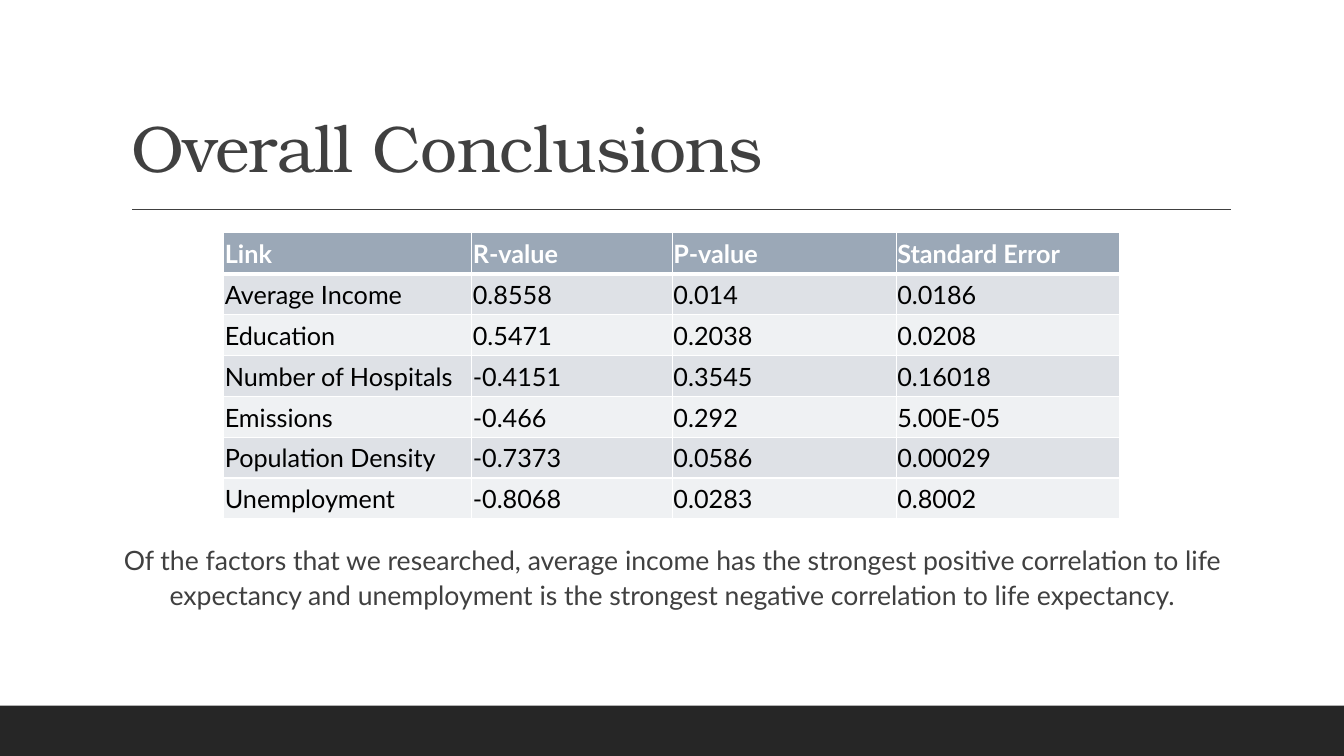
from lxml.etree import SubElement
from pptx import Presentation
from pptx.dml.color import RGBColor
from pptx.enum.shapes import MSO_CONNECTOR, MSO_SHAPE
from pptx.enum.text import MSO_ANCHOR, MSO_AUTO_SIZE, PP_ALIGN
from pptx.oxml import parse_xml
from pptx.oxml.ns import nsdecls, qn
from pptx.util import Inches, Pt

TITLE = "Overall Conclusions"
SUMMARY = (
    "Of the factors that we researched, average income has the strongest positive "
    "correlation to life expectancy and unemployment is the strongest negative "
    "correlation to life expectancy."
)
RESULTS = [
    ("Link", "R-value", "P-value", "Standard Error"),
    ("Average Income", "0.8558", "0.014", "0.0186"),
    ("Education", "0.5471", "0.2038", "0.0208"),
    ("Number of Hospitals", "-0.4151", "0.3545", "0.16018"),
    ("Emissions", "-0.466", "0.292", "5.00E-05"),
    ("Population Density", "-0.7373", "0.0586", "0.00029"),
    ("Unemployment", "-0.8068", "0.0283", "0.8002"),
]
COLUMN_WIDTHS = (2.46, 1.99, 2.22, 2.22)
TABLE_HEIGHT = 2.84
HEADER_FILL, BAND_FILLS = "9BA8B7", ("EFF1F3", "DEE1E6")
DARK, BAR, WHITE, BLACK = "404040", "262626", "FFFFFF", "000000"
HEADING_FONT, BODY_FONT = "TeX Gyre Bonum", "Lato"


def color(value):
    return RGBColor.from_string(value)


def style(paragraph, font_name, size, text_color, bold=False):
    font = paragraph.font
    font.name, font.size, font.bold = font_name, Pt(size), bold
    font.color.rgb = color(text_color)


def place(shape, left, top, width, height):
    shape.left, shape.top = Inches(left), Inches(top)
    shape.width, shape.height = Inches(width), Inches(height)


def add_borders(cell, bottom_width):
    properties = cell._tc.get_or_add_tcPr()
    widths = {"lnL": 1, "lnR": 1, "lnT": 1, "lnB": bottom_width}
    for position, (side, width) in enumerate(widths.items()):
        properties.insert(position, parse_xml(
            f'<a:{side} {nsdecls("a")} w="{Pt(width)}"><a:solidFill>'
            f'<a:srgbClr val="{WHITE}"/></a:solidFill></a:{side}>'))


def add_frame(slide):
    bar = slide.shapes.add_shape(
        MSO_SHAPE.RECTANGLE, 0, Inches(7), Inches(13.33), Inches(0.5))
    bar.shadow.inherit = False
    bar.fill.solid()
    bar.fill.fore_color.rgb = color(BAR)
    bar.line.fill.background()
    rule = slide.shapes.add_connector(
        MSO_CONNECTOR.STRAIGHT, Inches(1.31), Inches(2.08), Inches(12.21), Inches(2.08))
    rule.line.color.rgb = color(DARK)
    rule.line.width = Pt(1)
    SubElement(rule._element.spPr, qn("a:effectLst"))


def fill_title(title):
    place(title, 1.2, 0.31, 11, 1.59)
    frame = title.text_frame
    frame.text = TITLE
    frame.auto_size = MSO_AUTO_SIZE.NONE
    frame.vertical_anchor = MSO_ANCHOR.BOTTOM
    paragraph = frame.paragraphs[0]
    paragraph.alignment, paragraph.line_spacing = PP_ALIGN.LEFT, 0.9
    style(paragraph, HEADING_FONT, 47, DARK)
    paragraph.runs[0]._r.get_or_add_rPr().set("spc", "-50")


def fill_summary(body):
    place(body, 1.17, 5.31, 11, 1.44)
    frame = body.text_frame
    frame.text = SUMMARY
    frame.auto_size = MSO_AUTO_SIZE.NONE
    frame.margin_left = frame.margin_right = 0
    paragraph = frame.paragraphs[0]
    paragraph.alignment, paragraph.line_spacing = PP_ALIGN.CENTER, 1.1
    paragraph.space_before, paragraph.space_after = Pt(12), Pt(2)
    style(paragraph, BODY_FONT, 19, DARK)
    properties = paragraph._p.get_or_add_pPr()
    properties.set("marL", "0")
    properties.set("indent", "0")
    properties.insert_element_before(
        parse_xml(f'<a:buNone {nsdecls("a")}/>'), "a:tabLst", "a:defRPr", "a:extLst")


def add_results(slide):
    table = slide.shapes.add_table(
        len(RESULTS), len(COLUMN_WIDTHS), Inches(2.22), Inches(2.31),
        Inches(sum(COLUMN_WIDTHS)), Inches(TABLE_HEIGHT)).table
    table.horz_banding = False
    for column, width in zip(table.columns, COLUMN_WIDTHS):
        column.width = Inches(width)
    for row_index, values in enumerate(RESULTS):
        header = row_index == 0
        for column_index, value in enumerate(values):
            cell = table.cell(row_index, column_index)
            cell.text = value
            cell.vertical_anchor = MSO_ANCHOR.MIDDLE
            cell.margin_left = cell.margin_right = cell.margin_top = Inches(0.01)
            cell.margin_bottom = 0
            cell.fill.solid()
            cell.fill.fore_color.rgb = color(
                HEADER_FILL if header else BAND_FILLS[row_index % 2])
            add_borders(cell, 3 if header else 1)
            style(cell.text_frame.paragraphs[0], BODY_FONT, 18,
                  WHITE if header else BLACK, header)


def build():
    """Build the conclusions slide and save it."""
    presentation = Presentation()
    presentation.slide_width, presentation.slide_height = Inches(13.33), Inches(7.5)
    slide = presentation.slides.add_slide(presentation.slide_layouts[1])
    add_frame(slide)
    fill_title(slide.shapes.title)
    fill_summary(slide.placeholders[1])
    add_results(slide)
    presentation.save("out.pptx")


build()
